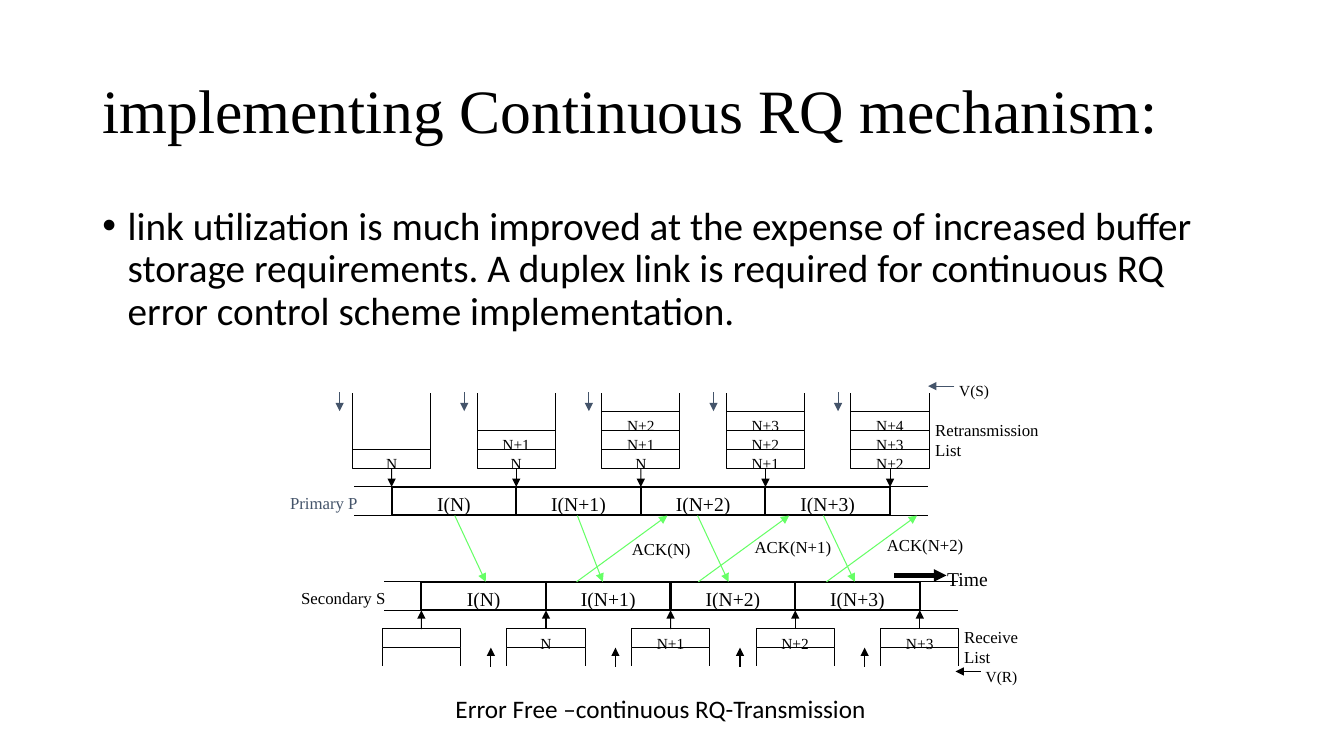
import pptx
import pptx.util
import pptx.dml.color
import pptx.enum.shapes
import pptx.enum.text
import pptx.oxml
import pptx.oxml.ns
from pptx.util import Cm

COLORS = {"black": "000000", "white": "FFFFFF", "slate": "44546A", "green": "66FF66"}
SERIF, SANS = "Times New Roman", "Calibri"

TITLE = "implementing Continuous RQ mechanism:"
BODY = ("link utilization is much improved at the expense of increased buffer storage "
        "requirements. A duplex link is required for continuous RQ error control scheme "
        "implementation.")
CAPTION = "Error Free –continuous RQ-Transmission"

FRAMES = ["I(N)", "I(N+1)", "I(N+2)", "I(N+3)"]
RETRANSMISSION = [["N"], ["N+1", "N"], ["N+2", "N+1", "N"],
                  ["N+3", "N+2", "N+1"], ["N+4", "N+3", "N+2"]]
RECEIVE = ["", "N", "N+1", "N+2", "N+3"]

LABELS = [
    (["Receive", "List"], 24.05, 15.67, 1.96, 0.97, 12, "left", "black"),
    (["Retransmission", "List"], 23.32, 10.44, 3.51, 0.97, 12, "left", "black"),
    (["V(S)"], 23.57, 9.47, 1.96, 0.48, 11, "center", "black"),
    (["V(R)"], 24.26, 16.69, 1.96, 0.48, 11, "center", "black"),
    (["ACK(N+2)"], 22.02, 13.36, 2.59, 0.72, 12, "center", "black"),
    (["ACK(N+1)"], 18.69, 13.41, 2.59, 0.72, 12, "center", "black"),
    (["ACK(N)"], 15.47, 13.44, 2.39, 0.72, 12, "center", "black"),
    (["Time"], 23.62, 14.17, 1.73, 0.72, 14, "left", "black"),
    (["Primary P"], 7.06, 12.29, 2.95, 0.72, 12, "left", "slate"),
    (["Secondary S"], 7.34, 14.68, 2.95, 0.72, 12, "left", "black"),
]
SENDS = [(11.46, 12.24), (14.55, 15.19), (17.58, 18.36), (20.75, 21.54)]
ACKS = [(14.53, 16.82), (17.6, 19.89), (20.83, 23.11)]

PITCH, FRAME_H, RAIL = 3.14, 0.72, 0.95
PRIMARY_X, PRIMARY_Y = 9.87, 12.27
SECONDARY_X, SECONDARY_Y = 10.62, 14.66
CELL_W, CELL_H = 1.97, 0.48
STACK_BOTTOM, STACK_OPEN = 11.81, 9.9
RECEIVE_TOP, RECEIVE_OPEN = 15.85, 16.79
SEND_MARK_X, RECEIVE_MARK_X = 8.56, 12.37

prs = pptx.Presentation()
prs.slide_width, prs.slide_height = Cm(33.87), Cm(19.05)
s = prs.slides.add_slide(prs.slide_layouts[6])


def rgb(name):
    return pptx.dml.color.RGBColor.from_string(COLORS[name])


def write(sp, lines, size, align="left", color="black", font=SERIF, before=0, spacing=None):
    tf = sp.text_frame
    tf.word_wrap = True
    tf.vertical_anchor = pptx.enum.text.MSO_ANCHOR.TOP
    for i, line in enumerate(lines):
        p = tf.paragraphs[0] if i == 0 else tf.add_paragraph()
        p.alignment = getattr(pptx.enum.text.PP_ALIGN, align.upper())
        p.space_before = pptx.util.Pt(before)
        if spacing:
            p.line_spacing = spacing
        r = p.add_run()
        r.text = line
        r.font.size = pptx.util.Pt(size)
        r.font.name = font
        r.font.color.rgb = rgb(color)
    return tf


def text_box(x, y, w, h, lines, size, **style):
    sp = s.shapes.add_textbox(Cm(x), Cm(y), Cm(w), Cm(h))
    return write(sp, lines, size, **style)


def box(x, y, w, h, text, size, weight, before=0):
    sp = s.shapes.add_shape(pptx.enum.shapes.MSO_SHAPE.RECTANGLE, Cm(x), Cm(y), Cm(w), Cm(h))
    sp.shadow.inherit = False
    sp.fill.solid()
    sp.fill.fore_color.rgb = rgb("white")
    sp.line.color.rgb = rgb("black")
    sp.line.width = pptx.util.Pt(weight)
    if text:
        write(sp, [text], size, align="center", before=before)
    return sp


def line(x1, y1, x2, y2, color="black", weight=0.75, arrow=False):
    c = s.shapes.add_connector(pptx.enum.shapes.MSO_CONNECTOR.STRAIGHT,
                               Cm(x1), Cm(y1), Cm(x2), Cm(y2))
    c.line.color.rgb = rgb(color)
    c.line.width = pptx.util.Pt(weight)
    if arrow:
        tail = pptx.oxml.parse_xml(
            f'<a:tailEnd {pptx.oxml.ns.nsdecls("a")} type="triangle"/>')
        c.line._get_or_add_ln().append(tail)
    c._element.spPr.append(
        pptx.oxml.parse_xml(f'<a:effectLst {pptx.oxml.ns.nsdecls("a")}/>'))
    return c


def walls(center, y1, y2):
    for x in (center - CELL_W / 2, center + CELL_W / 2):
        line(x, y1, x, y2)


def cell(center, y, text):
    return box(center - CELL_W / 2, y, CELL_W, CELL_H, text, 11, 0.75, before=5)


tf = text_box(2.33, 1.02, 29.21, 3.68, [TITLE], 44, spacing=0.9)
tf.vertical_anchor = pptx.enum.text.MSO_ANCHOR.MIDDLE

tf = text_box(2.33, 5.08, 29.21, 12.09, [BODY], 28, font=SANS, before=10, spacing=0.9)
pPr = tf.paragraphs[0]._p.get_or_add_pPr()
pPr.set("marL", str(Cm(0.64)))
pPr.set("indent", str(-Cm(0.64)))
for bullet in ('<a:buFont {} typeface="Arial"/>', '<a:buChar {} char="•"/>'):
    pPr.append(pptx.oxml.parse_xml(bullet.format(pptx.oxml.ns.nsdecls("a"))))

for lines, x, y, w, h, size, align, color in LABELS:
    before = 5 if size == 11 else 0
    text_box(x, y, w, h, lines, size, align=align, color=color, before=before)

for left, top in ((PRIMARY_X, PRIMARY_Y), (SECONDARY_X, SECONDARY_Y)):
    right = left + PITCH * len(FRAMES)
    for y in (top, top + FRAME_H):
        line(left, y, left - RAIL, y)
        line(right, y, right + RAIL, y)
    for i, name in enumerate(FRAMES):
        box(left + i * PITCH, top, PITCH, FRAME_H, name, 14, 1.5)

for i, names in enumerate(RETRANSMISSION):
    center = PRIMARY_X + i * PITCH
    top = STACK_BOTTOM - len(names) * CELL_H
    for j, name in enumerate(names):
        sp = cell(center, top + j * CELL_H, name)
    walls(center, top, STACK_OPEN)
    c = line(center, STACK_BOTTOM, center, PRIMARY_Y, arrow=True)
    c.begin_connect(sp, 2)
    x = SEND_MARK_X + i * PITCH
    line(x, 9.88, x, 10.36, color="slate", arrow=True)

for i, name in enumerate(RECEIVE):
    center = SECONDARY_X + i * PITCH
    sp = cell(center, RECEIVE_TOP, name)
    walls(center, RECEIVE_TOP + CELL_H, RECEIVE_OPEN)
    c = line(center, RECEIVE_TOP, center, SECONDARY_Y + FRAME_H, arrow=True)
    c.begin_connect(sp, 0)
    if i < len(RECEIVE) - 1:
        x = RECEIVE_MARK_X + i * PITCH
        line(x, 16.8, x, 16.32, arrow=True)

for x1, x2 in SENDS:
    line(x1, PRIMARY_Y + FRAME_H, x2, SECONDARY_Y, color="green", arrow=True)
for x1, x2 in ACKS:
    line(x1, SECONDARY_Y, x2, PRIMARY_Y + FRAME_H, color="green", arrow=True)

line(22.53, 14.5, 23.85, 14.5, weight=3, arrow=True)
line(24.05, 9.73, 23.39, 9.73, color="slate", arrow=True)
line(24.71, 16.92, 24.08, 16.92, arrow=True)

text_box(11.23, 17.35, 10.92, 1.02, [CAPTION], 18, font=SANS)

prs.save("out.pptx")
